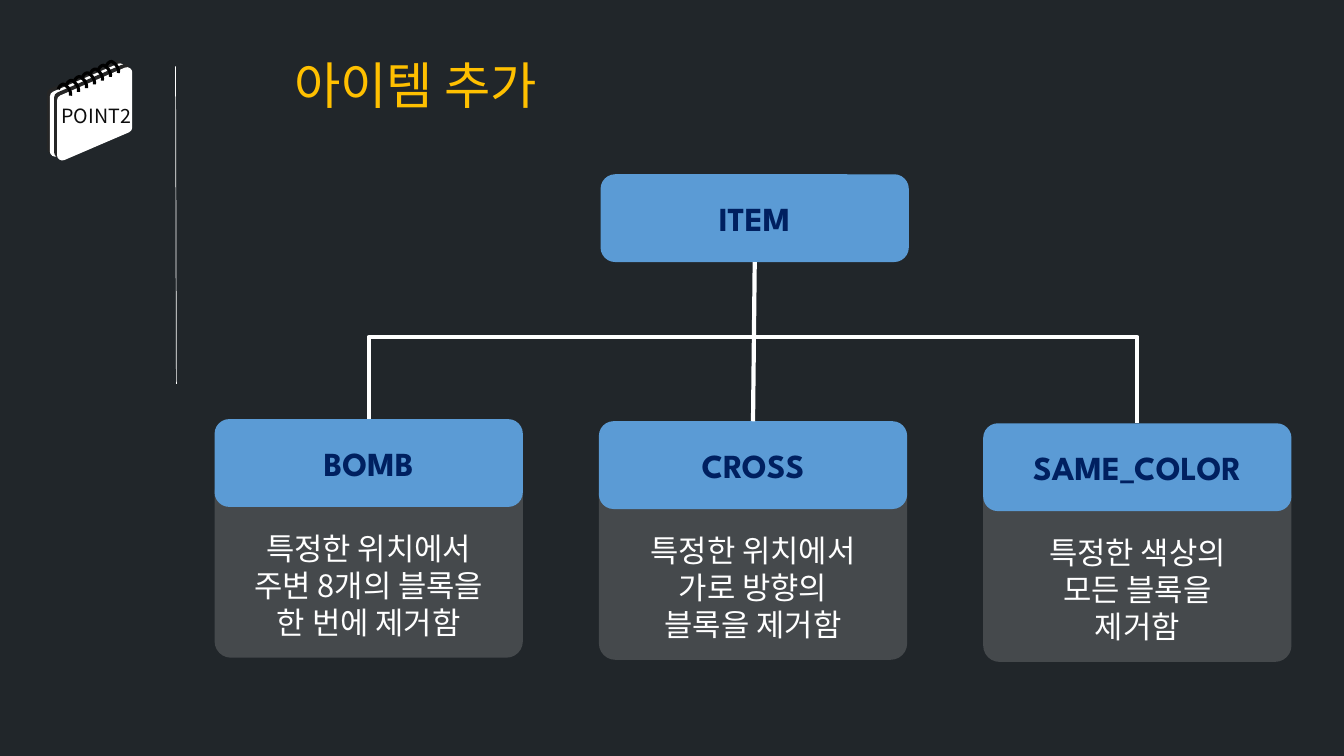
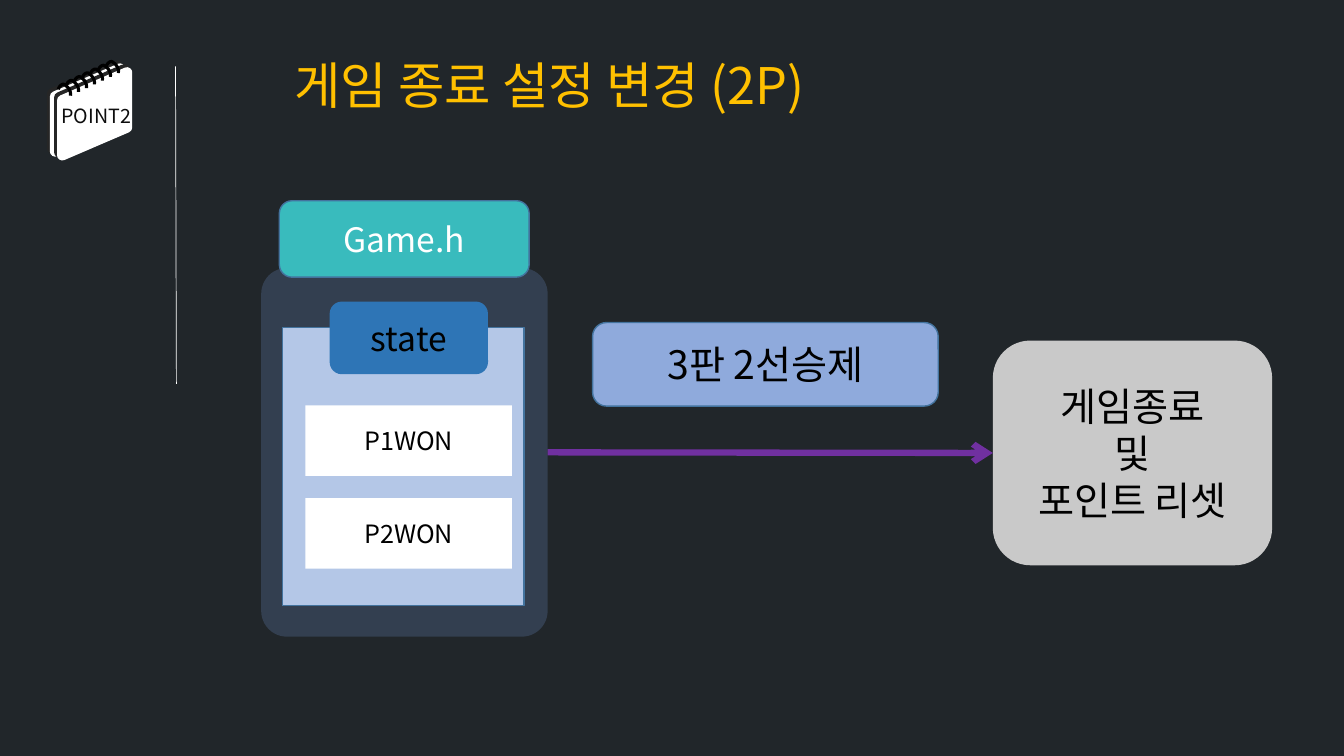
import dataclasses
import typing

import lxml.etree
import pptx
import pptx.dml.color
import pptx.enum.shapes
import pptx.enum.text
import pptx.oxml.ns
import pptx.util

COLUMNS, ROWS = 32, 18
CELL = pptx.util.Emu(381000)

COLORS: dict[str, str] = {
    "night": "21262A",
    "white": "FFFFFF",
    "black": "000000",
    "ink": "0D0D0D",
    "page_edge": "262626",
    "gold": "FFC000",
    "blue": "5B9BD5",
    "navy": "002060",
    "card": "45494C",
    "slate": "333F50",
    "teal": "39BBBD",
    "outline": "43739E",
    "pale_blue": "B4C7E7",
    "deep_blue": "2E75B6",
    "periwinkle": "8FAADC",
    "silver": "C9C9C9",
    "purple": "7030A0",
}
KOREAN = "Noto Sans CJK KR"
FORMATS: dict[str, dict[str, typing.Any]] = {
    "title": {"size": pptx.util.Pt(36), "name": KOREAN},
    "point": {"size": pptx.util.Pt(14), "name": "Noto Sans CJK SC"},
    "heading": {"size": pptx.util.Pt(24), "name": "League Spartan", "bold": True},
    "detail": {"size": pptx.util.Pt(22), "name": KOREAN},
    "value": {"size": pptx.util.Pt(18), "name": KOREAN},
    "module": {"size": pptx.util.Pt(24), "name": KOREAN},
    "outcome": {"size": pptx.util.Pt(28), "name": KOREAN},
}
PRESETS = pptx.enum.shapes.MSO_SHAPE
CENTER = pptx.enum.text.PP_ALIGN.CENTER
TOP, LEFT, BOTTOM, RIGHT = range(4)


@dataclasses.dataclass(frozen=True)
class Area:
    col: float
    row: float
    cols: float
    rows: float

    def emu(self) -> list[int]:
        return [cells(n) for n in (self.col, self.row, self.cols, self.rows)]


@dataclasses.dataclass(frozen=True)
class Block:
    area: Area
    fill: str
    lines: tuple[str, ...] = ()
    style: str = "module"
    ink: str = "black"
    preset: typing.Any = PRESETS.ROUNDED_RECTANGLE
    outline: str | None = None
    corner: float | None = None
    inset_rows: float = 0.12


@dataclasses.dataclass(frozen=True)
class Item:
    name: str
    effect: tuple[str, ...]


ITEMS = (
    Item("BOMB", ("특정한 위치에서", "주변 8개의 블록을", "한 번에 제거함")),
    Item("CROSS", ("특정한 위치에서", "가로 방향의", "블록을 제거함")),
    Item("SAME_COLOR", ("특정한 색상의", "모든 블록을", "제거함")),
)
WINNERS = ("P1WON", "P2WON")
HEAD_COLS, HEAD_ROWS = 7.34, 2.09
RING_COUNT = 7
RING_CURVES = (
    ((0, 0.14), (0.02, 0.05), (0.1, 0), (0.14, 0.02)),
    ((0.14, 0.02), (0.19, 0.05), (0.31, 0.14), (0.29, 0.29)),
)


def cells(count: float) -> int:
    return round(count * CELL)


def color(name: str) -> pptx.dml.color.RGBColor:
    return pptx.dml.color.RGBColor.from_string(COLORS[name])


def add_xml(parent: typing.Any, tag: str, **attributes: str) -> typing.Any:
    return lxml.etree.SubElement(parent, pptx.oxml.ns.qn(tag), attributes)


def write(frame: typing.Any, lines: tuple[str, ...], style: str, ink: str,
          align: typing.Any = CENTER) -> None:
    for index, line in enumerate(lines):
        paragraph = frame.add_paragraph() if index else frame.paragraphs[0]
        paragraph.alignment = align
        run = paragraph.add_run()
        run.text = line
        for attribute, value in FORMATS[style].items():
            setattr(run.font, attribute, value)
        run.font.color.rgb = color(ink)
        add_xml(run._r.get_or_add_rPr(), "a:ea", typeface=FORMATS[style]["name"])


def stroke(line: typing.Any, ink: str, points: float) -> None:
    line.color.rgb = color(ink)
    line.width = pptx.util.Pt(points)


def draw_block(slide: typing.Any, block: Block) -> typing.Any:
    shape = slide.shapes.add_shape(block.preset, *block.area.emu())
    shape.shadow.inherit = False
    shape.fill.solid()
    shape.fill.fore_color.rgb = color(block.fill)
    if block.outline:
        stroke(shape.line, block.outline, 1)
    else:
        shape.line.fill.background()
    if block.corner is not None:
        shape.adjustments[0] = block.corner
    frame = shape.text_frame
    frame.word_wrap = True
    frame.vertical_anchor = pptx.enum.text.MSO_ANCHOR.MIDDLE
    frame.margin_top = cells(block.inset_rows)
    write(frame, block.lines, block.style, block.ink)
    return shape


def draw_text(slide: typing.Any, area: Area, text: str, style: str, ink: str,
              wrap: bool, align: typing.Any) -> None:
    frame = slide.shapes.add_textbox(*area.emu()).text_frame
    frame.word_wrap = wrap
    frame.auto_size = pptx.enum.text.MSO_AUTO_SIZE.SHAPE_TO_FIT_TEXT
    write(frame, (text,), style, ink, align)


def draw_line(slide: typing.Any, ink: str, points: float,
              ends: tuple[float, float, float, float] = (0, 0, 0, 0),
              kind: typing.Any = pptx.enum.shapes.MSO_CONNECTOR.STRAIGHT) -> typing.Any:
    line = slide.shapes.add_connector(kind, *map(cells, ends))
    stroke(line.line, ink, points)
    add_xml(line.element.spPr, "a:effectLst")
    return line


def draw_page(slide: typing.Any, area: Area) -> None:
    page = draw_block(slide, Block(area, "white", preset=PRESETS.PARALLELOGRAM, corner=0.43))
    page.rotation = 90
    properties = page.element.spPr
    properties.find(pptx.oxml.ns.qn("a:xfrm")).set("flipH", "1")
    stroke(page.line, "white", 7.5)
    add_xml(properties.find(pptx.oxml.ns.qn("a:ln")), "a:round")
    effects = properties.find(pptx.oxml.ns.qn("a:effectLst"))
    shadow = add_xml(effects, "a:outerShdw", blurRad="0", dist=str(pptx.util.Pt(3)),
                     dir="13500000", algn="br", rotWithShape="0")
    add_xml(shadow, "a:srgbClr", val=COLORS["page_edge"])


def curve_points(curve: tuple, steps: int = 8) -> list[tuple[float, float]]:
    points = []
    for step in range(1, steps + 1):
        t = step / steps
        weights = ((1 - t) ** 3, 3 * t * (1 - t) ** 2, 3 * t * t * (1 - t), t ** 3)
        points.append(tuple(sum(w * p[axis] for w, p in zip(weights, curve))
                            for axis in (0, 1)))
    return points


def draw_ring(slide: typing.Any, col: float, row: float) -> None:
    path = [RING_CURVES[0][0]]
    for curve in RING_CURVES:
        path += curve_points(curve)
    points = [(cells(col + x), cells(row + y)) for x, y in path]
    builder = slide.shapes.build_freeform(*points[0])
    builder.add_line_segments(points[1:], close=False)
    ring = builder.convert_to_shape()
    ring.shadow.inherit = False
    ring.fill.background()
    stroke(ring.line, "black", 2.25)


def start_slide(deck: typing.Any, title: str) -> typing.Any:
    slide = deck.slides.add_slide(deck.slide_layouts[6])
    slide.background.fill.solid()
    slide.background.fill.fore_color.rgb = color("night")
    draw_line(slide, "white", 0.5, (4.18, 1.58, 4.2, 9.14))
    for col, row in ((1.1, 1.85), (1.27, 1.94)):
        draw_page(slide, Area(col, row, 1.97, 1.54))
    for index in reversed(range(RING_COUNT)):
        draw_ring(slide, 1.39 + 0.19 * index, 1.99 - 0.09 * index)
    draw_text(slide, Area(1.18, 2.35, 2.23, 0.82), "POINT2", "point", "ink", False, CENTER)
    draw_text(slide, Area(6.77, 1.18, 21.91, 1.7), title, "title", "gold", True,
              pptx.enum.text.PP_ALIGN.LEFT)
    return slide


def draw_heading(slide: typing.Any, name: str, col: float, row: float) -> typing.Any:
    return draw_block(slide, Block(Area(col, row, HEAD_COLS, HEAD_ROWS), "blue",
                                   (name,), "heading", "navy"))


def draw_branch(slide: typing.Any, first: typing.Any, last: typing.Any, rise: float) -> None:
    branch = draw_line(slide, "white", 3, kind=pptx.enum.shapes.MSO_CONNECTOR.ELBOW)
    branch.begin_connect(first, TOP)
    branch.end_connect(last, TOP)
    span, drop = last.left - first.left, last.top - first.top
    middle_x = first.left + first.width // 2 + span // 2
    middle_y = first.top + drop // 2
    branch.left, branch.top = middle_x - drop // 2, middle_y - span // 2
    branch.width, branch.height = drop, span
    frame = branch.element.spPr.find(pptx.oxml.ns.qn("a:xfrm"))
    frame.set("rot", "16200000")
    frame.set("flipH", "1")
    guides = branch.element.spPr.find(".//" + pptx.oxml.ns.qn("a:avLst"))
    add_xml(guides, "a:gd", name="adj1", fmla=f"val {round(-cells(rise) / drop * 100000)}")


def build_items(deck: typing.Any) -> None:
    slide = start_slide(deck, "아이템 추가")
    headings = []
    for index, item in enumerate(ITEMS):
        col, row = 5.11 + 9.15 * index, 9.98 + 0.05 * index
        draw_block(slide, Block(Area(col, row + 1.34, HEAD_COLS, 4.34), "card", item.effect,
                                "detail", "white", corner=0.09, inset_rows=1))
        headings.append(draw_heading(slide, item.name, col, row))
    root = draw_heading(slide, "ITEM", 14.3, 4.15)
    trunk = draw_line(slide, "white", 3)
    trunk.begin_connect(headings[1], TOP)
    trunk.end_connect(root, BOTTOM)
    draw_branch(slide, headings[0], headings[-1], 1.95)


def build_game_end(deck: typing.Any) -> None:
    slide = start_slide(deck, "게임 종료 설정 변경 (2P)")
    panel = draw_block(slide, Block(Area(6.22, 6.38, 6.82, 8.78), "slate", corner=0.09))
    draw_block(slide, Block(Area(6.65, 4.78, 5.95, 1.82), "teal", ("Game.h",),
                            ink="white", outline="outline"))
    draw_block(slide, Block(Area(6.72, 7.8, 5.76, 6.62), "pale_blue",
                            preset=PRESETS.RECTANGLE, outline="outline"))
    for index, winner in enumerate(WINNERS):
        draw_block(slide, Block(Area(7.27, 9.65 + 2.21 * index, 4.92, 1.68), "white",
                                (winner,), "value", preset=PRESETS.RECTANGLE))
    draw_block(slide, Block(Area(7.85, 7.18, 3.77, 1.73), "deep_blue", ("state",)))
    draw_block(slide, Block(Area(14.11, 7.68, 8.23, 1.99), "periwinkle", ("3판 2선승제",),
                            "outcome", outline="outline"))
    reset = draw_block(slide, Block(Area(23.64, 8.11, 6.65, 5.35), "silver",
                                    ("게임종료", "및", "포인트 리셋"), "outcome"))
    arrow = draw_line(slide, "purple", 4.5)
    arrow.begin_connect(panel, RIGHT)
    arrow.end_connect(reset, LEFT)
    add_xml(arrow.element.spPr.find(pptx.oxml.ns.qn("a:ln")), "a:tailEnd", type="arrow")


def main() -> None:
    deck = pptx.Presentation()
    deck.slide_width, deck.slide_height = cells(COLUMNS), cells(ROWS)
    build_items(deck)
    build_game_end(deck)
    deck.save("out.pptx")


if __name__ == "__main__":
    main()
